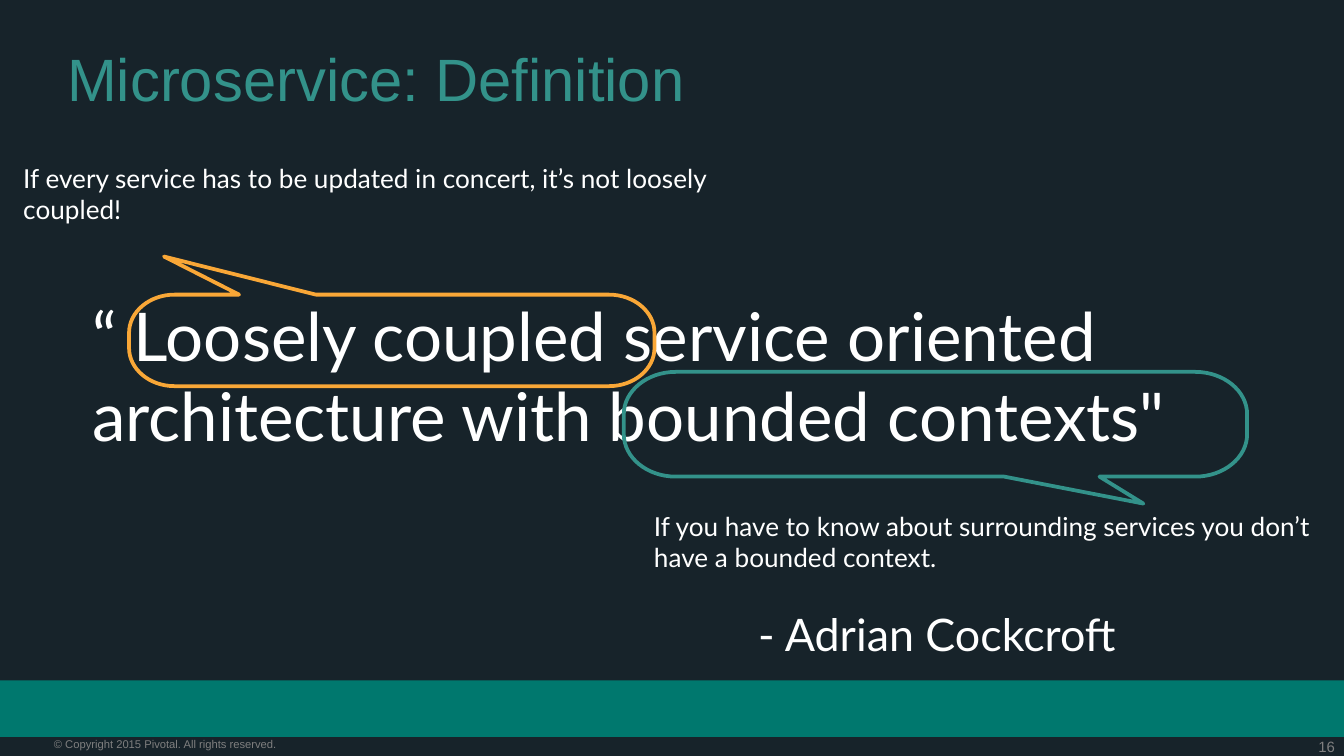
from copy import deepcopy

from pptx import Presentation
from pptx.dml.color import RGBColor
from pptx.enum.shapes import MSO_SHAPE
from pptx.enum.text import MSO_ANCHOR, MSO_AUTO_SIZE, PP_ALIGN
from pptx.oxml.ns import qn
from pptx.util import Cm, Pt

COLORS = {
    "background": "17232A",
    "bar": "00786E",
    "footer": "7F7F7F",
    "teal": "33928A",
    "orange": "F9A737",
    "white": "FFFFFF",
}
SLIDE_SIZE = (25.4, 14.29)
BAR = (0, 12.86, 25.4, 1.07)
TITLE = ("Microservice: Definition", (1.02, 0.69, 23.37, 1.27))
FOOTERS = [
    ("16", (23.76, 13.94, 1.47, 0.36), 8, PP_ALIGN.RIGHT),
    ("© Copyright 2015 Pivotal. All rights reserved.", (1.02, 13.94, 6.32, 0.25), 6, PP_ALIGN.LEFT),
]
QUOTE = ("“ Loosely coupled service oriented architecture with bounded contexts\"",
         (1.74, 5.56, 21.95, 3.71), 36)
REMARKS = [
    ("If every service has to be updated in concert, it’s not loosely coupled!",
     (0.44, 3.07, 12.98, 1.19), 14),
    ("If you have to know about surrounding services you don’t have a bounded context.",
     (12.36, 9.64, 12.88, 1.19), 14),
    ("- Adrian Cockcroft", (14.33, 11.47, 10.06, 1.02), 24),
]
TOP_RIGHT, BOTTOM_RIGHT, BOTTOM_LEFT, TOP_LEFT = range(4)
CALLOUTS = [
    {"color": "orange", "edges": (2.44, 5.57, 12.37, 7.3), "radii": (0.86, 0.72),
     "tail": [(4.52, 5.57), (3.1, 4.85), (5.97, 5.57)], "tail_after": TOP_LEFT},
    {"color": "teal", "edges": (11.79, 7.03, 23.57, 9.01), "radii": (0.98, 0.8),
     "tail": [(20.78, 9.01), (21.61, 9.52), (18.98, 9.01)], "tail_after": BOTTOM_RIGHT},
]
ROUNDNESS = 0.55


def rgb(name):
    return RGBColor.from_string(COLORS[name])


def lengths(values):
    return [Cm(value) for value in values]


def write(box, text, size, font, color, align=PP_ALIGN.LEFT, inset=0):
    frame = box.text_frame
    frame.text = text
    frame.word_wrap = True
    frame.auto_size = MSO_AUTO_SIZE.NONE
    frame.vertical_anchor = MSO_ANCHOR.TOP
    frame.margin_left = frame.margin_right = Cm(inset)
    frame.margin_top = frame.margin_bottom = Cm(inset)
    para = frame.paragraphs[0]
    para.alignment = align
    span = para.runs[0]
    span.font.size = Pt(size)
    span.font.name = font
    span.font.color.rgb = rgb(color)
    return para


def add_text(page, text, place, *style):
    write(page.shapes.add_textbox(*lengths(place)), text, *style)


def callout_outline(edges, radii, tail, tail_after):
    left, top, right, bottom = edges
    across, down = radii
    corners = [
        [(right - across, top), (right, top + down)],
        [(right, bottom - down), (right - across, bottom)],
        [(left + across, bottom), (left, bottom - down)],
        [(left, top + down), (left + across, top)],
    ]
    points, curve_ends = [], []
    for corner, ends in enumerate(corners):
        points += ends
        curve_ends.append(len(points) - 1)
        if corner == tail_after:
            points += tail
    return [tuple(lengths(point)) for point in points], curve_ends


def round_corner(segment, start, starts_level):
    end = segment[0]
    across, along = ("x", "y") if starts_level else ("y", "x")
    first, second = deepcopy(start), deepcopy(end)
    for control, name, origin, target in ((first, across, start, end), (second, along, end, start)):
        here, there = int(origin.get(name)), int(target.get(name))
        control.set(name, str(round(here + ROUNDNESS * (there - here))))
    segment.tag = qn("a:cubicBezTo")
    segment.insert(0, first)
    segment.insert(1, second)


def add_callout(page, color, **outline):
    points, curve_ends = callout_outline(**outline)
    builder = page.shapes.build_freeform(*points[0])
    builder.add_line_segments(points[1:], close=True)
    callout = builder.convert_to_shape()
    segments = list(next(callout.element.iter(qn("a:path"))))
    for corner, index in enumerate(curve_ends):
        round_corner(segments[index], segments[index - 1][-1], corner % 2 == 0)
    callout.shadow.inherit = False
    callout.fill.background()
    callout.line.color.rgb = rgb(color)
    callout.line.width = Pt(2)


def main():
    """Build the microservice definition slide."""
    deck = Presentation()
    deck.slide_width, deck.slide_height = lengths(SLIDE_SIZE)
    page = deck.slides.add_slide(deck.slide_layouts[5])
    page.background.fill.solid()
    page.background.fill.fore_color.rgb = rgb("background")

    bar = page.shapes.add_shape(MSO_SHAPE.RECTANGLE, *lengths(BAR))
    bar.shadow.inherit = False
    bar.fill.solid()
    bar.fill.fore_color.rgb = rgb("bar")
    bar.line.fill.background()
    for text, place, size, align in FOOTERS:
        add_text(page, text, place, size, "Arial", "footer", align)

    text, place = TITLE
    title = page.shapes.title
    title.left, title.top, title.width, title.height = lengths(place)
    write(title, text, 32, "Arial", "teal", inset=0.25).line_spacing = 0.9

    add_text(page, *QUOTE, "Lato", "white")
    for callout in CALLOUTS:
        add_callout(page, **callout)
    for remark in REMARKS:
        add_text(page, *remark, "Lato", "white")
    deck.save("out.pptx")


if __name__ == "__main__":
    main()
